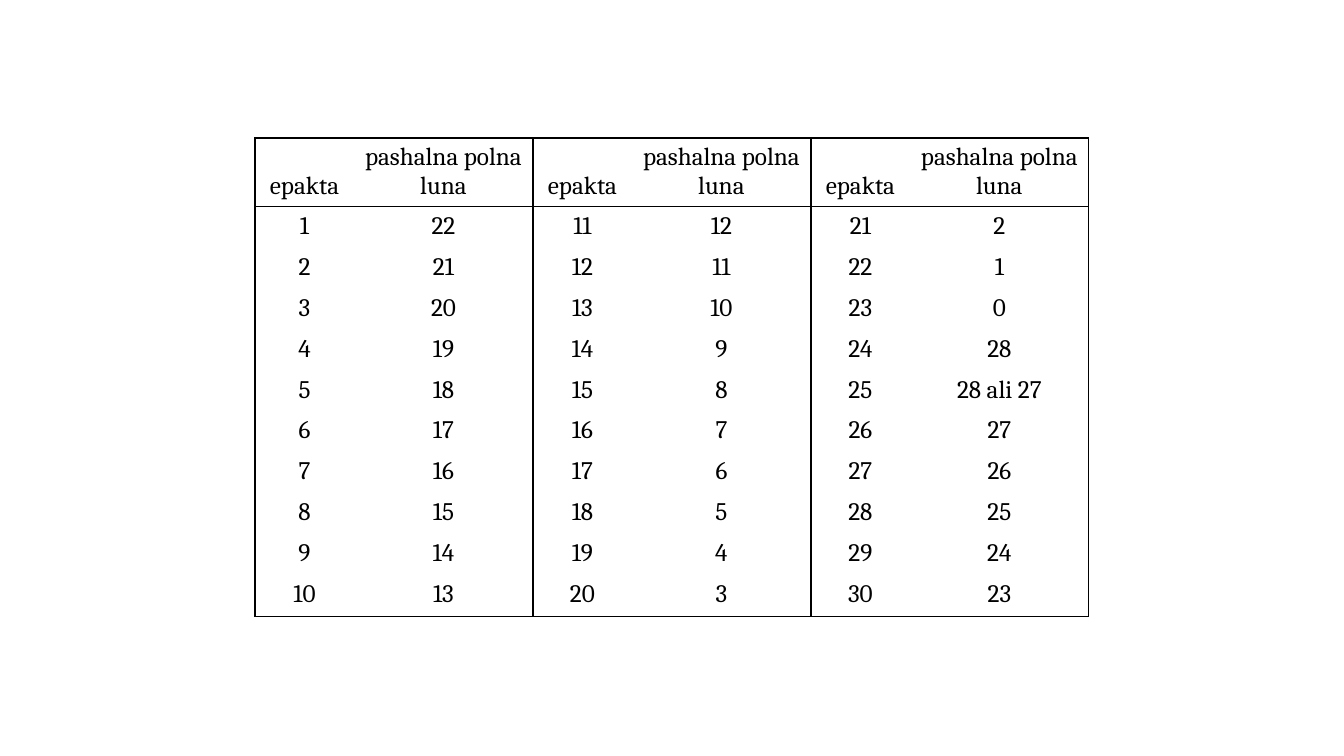
from lxml import etree
from pptx import Presentation
from pptx import util as u
from pptx.dml.color import RGBColor
from pptx.enum import text
from pptx.oxml.ns import qn

EMU_PER_PX = 914400 / 100.8
BLACK = "000000"
FONT = "Cambria"
HEADINGS = ("epakta", "pashalna polna luna")
BLOCKS, ROWS_PER_BLOCK = 3, 10
EPACT_WIDTH, MOON_WIDTH = 99, 179
HEADING_HEIGHT, ROW_HEIGHT = 68, 41


def px(length):
    return u.Emu(round(length * EMU_PER_PX))


def colour(hex_code):
    return RGBColor.from_string(hex_code)


def paschal_moon(epact):
    """Paschal full moon that belongs to an epact."""
    if epact <= 23:
        return str(23 - epact)
    return {24: "28", 25: "28 ali 27"}.get(epact, str(53 - epact))


def moon_rows():
    """Headings, then the epacts running down each block in turn."""
    rows = [HEADINGS * BLOCKS]
    for first in range(1, ROWS_PER_BLOCK + 1):
        epacts = [first + ROWS_PER_BLOCK * block for block in range(BLOCKS)]
        rows.append([entry for epact in epacts
                     for entry in (str(epact), paschal_moon(epact))])
    return rows


def set_borders(cell, drawn_sides):
    """Rule the given sides (L, R, T, B) and clear the others."""
    properties = cell._tc.get_or_add_tcPr()
    for side in "LRTB":
        line = etree.SubElement(properties, qn(f"a:ln{side}"), w=str(u.Pt(1)))
        if side in drawn_sides:
            fill = etree.SubElement(line, qn("a:solidFill"))
            etree.SubElement(fill, qn("a:srgbClr"), val=BLACK)
        else:
            etree.SubElement(line, qn("a:noFill"))


def write_cell(cell, entry):
    paragraph = cell.text_frame.paragraphs[0]
    paragraph.alignment = text.PP_ALIGN.CENTER
    run = paragraph.add_run()
    run.text = entry
    run.font.name = FONT
    run.font.size = u.Pt(18)
    run.font.bold = False
    run.font.color.rgb = colour(BLACK)


def add_moon_table(slide, left, top):
    rows = moon_rows()
    widths = (EPACT_WIDTH, MOON_WIDTH) * BLOCKS
    heights = [HEADING_HEIGHT] + [ROW_HEIGHT] * ROWS_PER_BLOCK
    moons = slide.shapes.add_table(
        len(rows), len(widths), px(left), px(top),
        px(sum(widths)), px(sum(heights))).table
    moons.first_row = moons.horz_banding = False

    for column, width in zip(moons.columns, widths):
        column.width = px(width)
    for row, height in zip(moons.rows, heights):
        row.height = px(height)

    # Each block is boxed, with a rule under its headings
    row_sides = {0: "TB", 1: "T", ROWS_PER_BLOCK: "B"}
    for r, entries in enumerate(rows):
        for c, entry in enumerate(entries):
            cell = moons.cell(r, c)
            set_borders(cell, "LR"[c % 2] + row_sides.get(r, ""))
            cell.fill.background()
            cell.vertical_anchor = (text.MSO_ANCHOR.BOTTOM if r == 0
                                    else text.MSO_ANCHOR.TOP)
            write_cell(cell, entry)


def main():
    # Slide
    deck = Presentation()
    deck.slide_width, deck.slide_height = px(1344), px(756)
    slide = deck.slides.add_slide(deck.slide_layouts[6])

    # Epacts and paschal full moons
    add_moon_table(slide, 255, 138)
    deck.save("out.pptx")


main()
